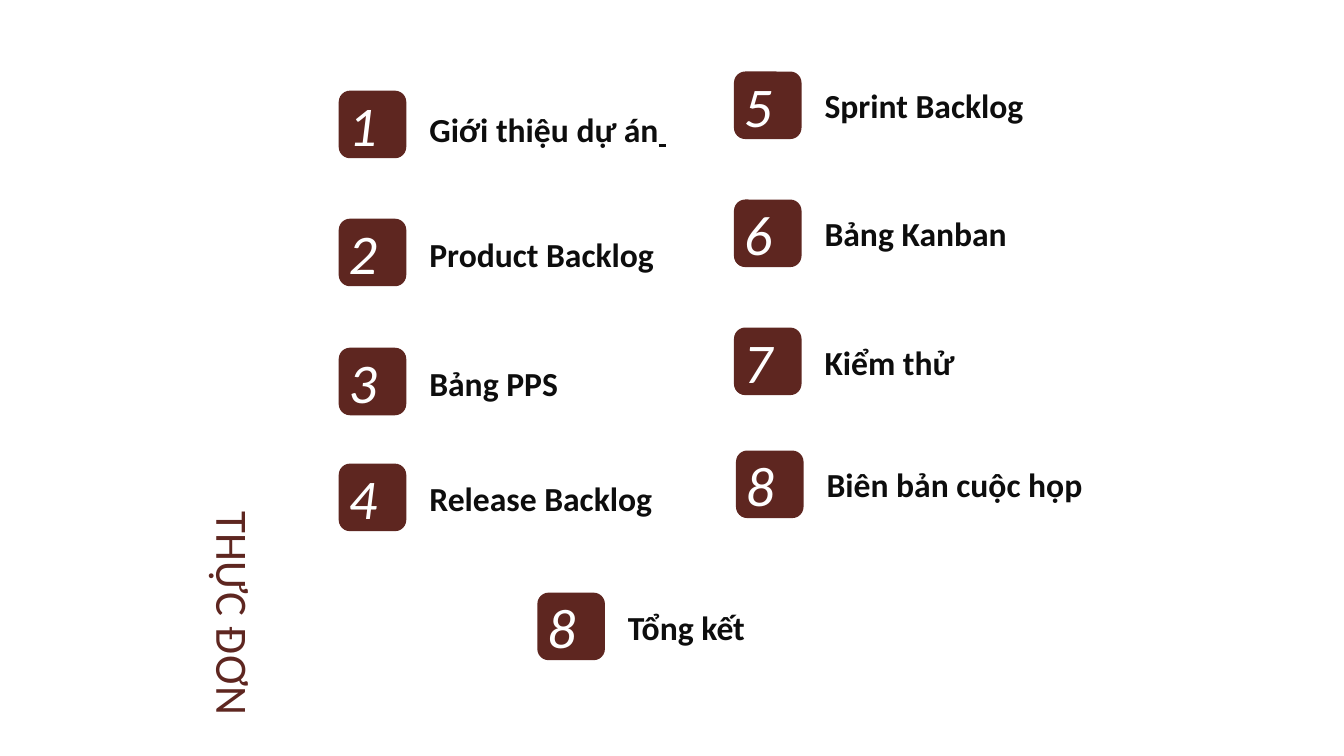
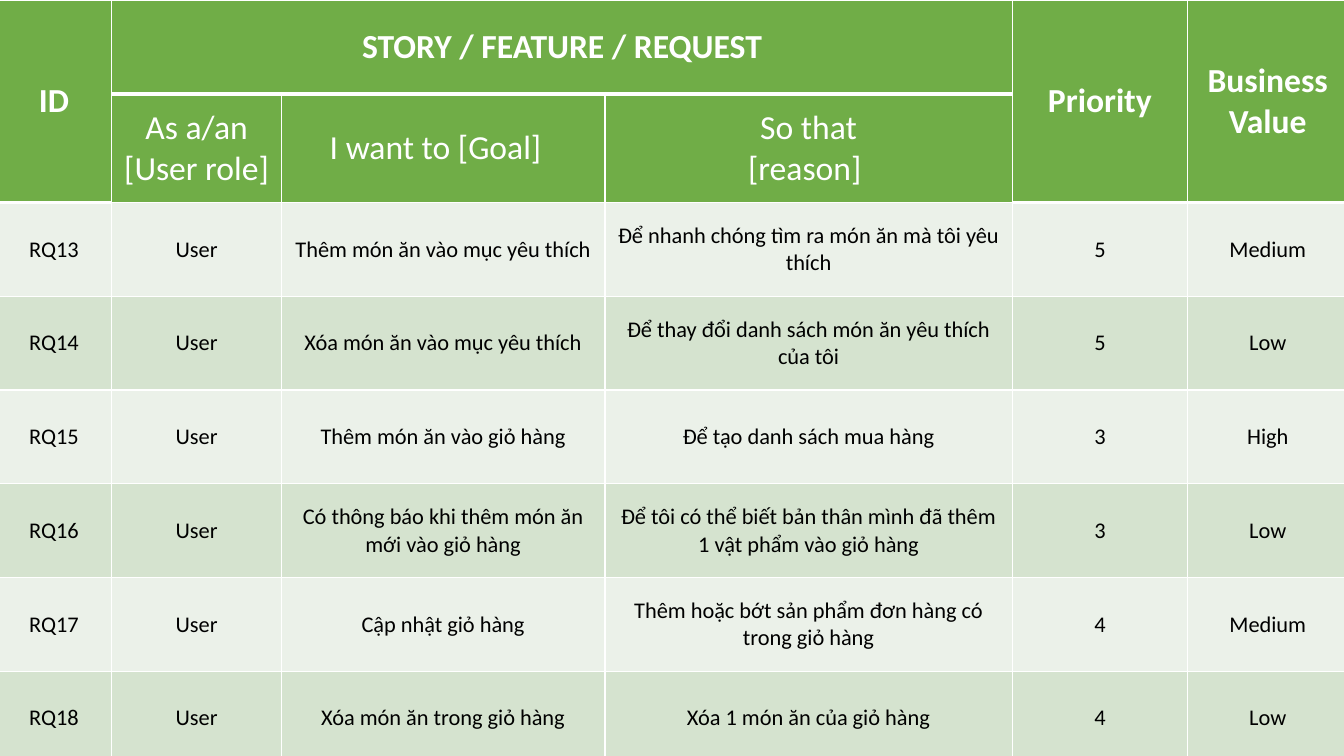
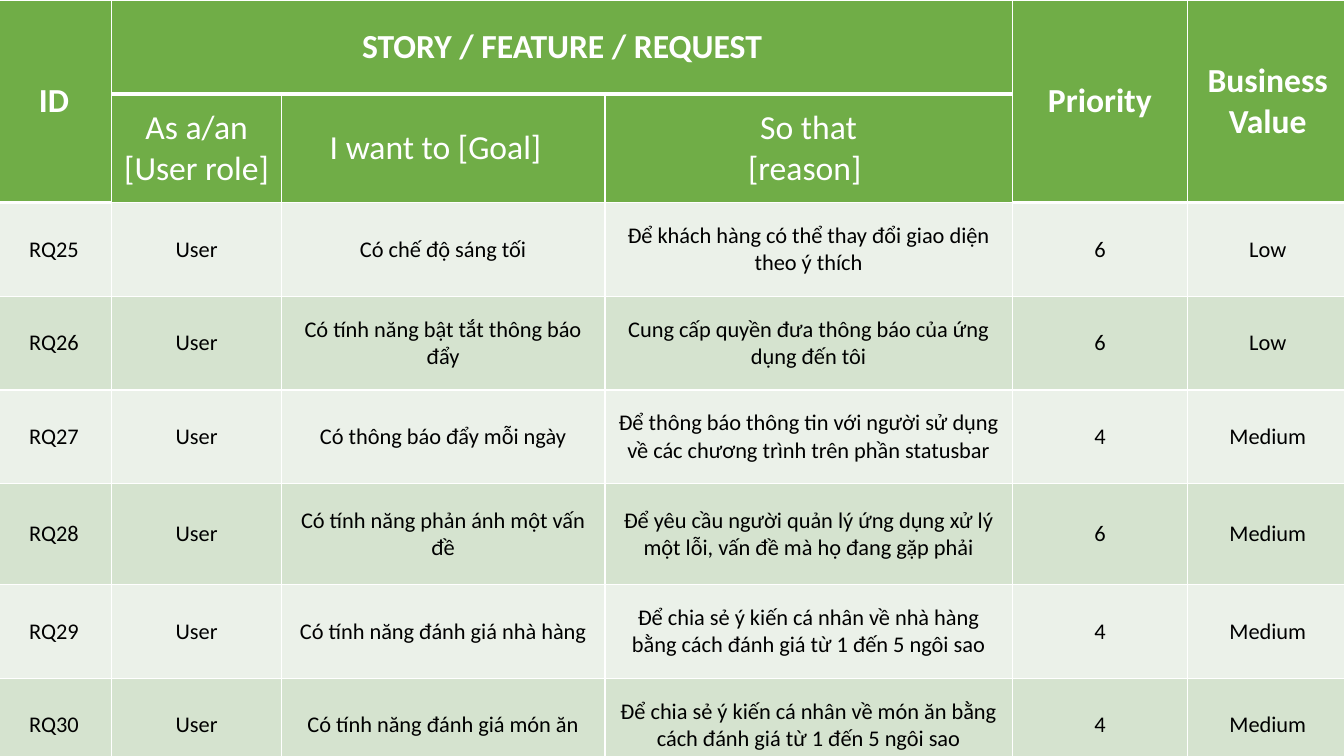
"""Build a menu slide and two product backlog tables."""
from dataclasses import dataclass

import lxml.etree
import pptx
import pptx.dml.color
import pptx.enum.shapes
import pptx.enum.text
import pptx.oxml.ns
import pptx.util

SCALE = 9144
FONT = "Calibri"
HUES = {
    "wine": "5E2620",
    "ink": "0D0D0D",
    "black": "000000",
    "white": "FFFFFF",
    "green": "70AD47",
    "pale": "EBF1E9",
    "mint": "D5E3CF",
}
COLS = [115, 168, 321, 404, 174, 159]
ROWS = [93, 108, 93, 93, 93, 93, 93, 93]


@dataclass(frozen=True)
class Style:
    size: int
    hue: str
    bold: bool = False
    slant: bool = False


@dataclass(frozen=True)
class Item:
    mark: str
    label: str
    left: int
    top: int
    drop: int = 9
    tail: str = ""


@dataclass(frozen=True)
class Head:
    text: str
    row: int
    col: int
    tall: int = 1
    wide: int = 1
    bold: bool = True
    pad: int = 10


@dataclass(frozen=True)
class Story:
    code: str
    goal: str
    cause: str
    rank: int
    value: str
    role: str = "User"


LABEL = Style(24, "ink", bold=True)
MARK = Style(40, "white", slant=True)
TITLE = Style(32, "wine")
BODY = Style(16, "black")

ITEMS = [
    Item("1.", "Giới thiệu dự án", 336, 90, 13, " "),
    Item("2.", "Product Backlog", 336, 217, 10),
    Item("3.", "Bảng PPS", 336, 345, 10),
    Item("4.", "Release Backlog", 336, 460),
    Item("5.", "Sprint Backlog", 728, 71, 8),
    Item("6.", "Bảng Kanban", 728, 198, 8),
    Item("7.", "Kiểm thử", 728, 325),
    Item("8.", "Biên bản cuộc họp", 730, 447, 8),
    Item("8.", "Tổng kết", 533, 588),
]
HEADS = [
    Head("ID", 0, 0, tall=2),
    Head("STORY / FEATURE / REQUEST", 0, 1, wide=3),
    Head("Priority", 0, 4, tall=2),
    Head("Business Value", 0, 5, tall=2),
    Head("As a/an\n[User role]", 1, 1, bold=False),
    Head("I want to [Goal]", 1, 2, bold=False, pad=25),
    Head("So that\n[reason] ", 1, 3, bold=False),
]
CART = [
    Story("RQ13", "Thêm món ăn vào mục yêu thích",
          "Để nhanh chóng tìm ra món ăn mà tôi yêu thích", 5, "Medium"),
    Story("RQ14", "Xóa món ăn vào mục yêu thích",
          "Để thay đổi danh sách món ăn yêu thích của tôi", 5, "Low"),
    Story("RQ15", "Thêm món ăn vào giỏ hàng",
          "Để tạo danh sách mua hàng", 3, "High"),
    Story("RQ16", "Có thông báo khi thêm món ăn mới vào giỏ hàng",
          "Để tôi có thể biết bản thân mình đã thêm 1 vật phẩm vào giỏ hàng", 3, "Low"),
    Story("RQ17", "Cập nhật giỏ hàng",
          "Thêm hoặc bớt sản phẩm đơn hàng có trong giỏ hàng", 4, "Medium"),
    Story("RQ18", "Xóa món ăn trong giỏ hàng",
          "Xóa 1 món ăn của giỏ hàng", 4, "Low"),
]
NOTICE = [
    Story("RQ25", "Có chế độ sáng tối",
          "Để khách hàng có thể thay đổi giao diện theo ý thích", 6, "Low"),
    Story("RQ26", "Có tính năng bật tắt thông báo đẩy",
          "Cung cấp quyền đưa thông báo của ứng dụng đến tôi", 6, "Low"),
    Story("RQ27", "Có thông báo đẩy mỗi ngày",
          "Để thông báo thông tin với người sử dụng về các chương trình trên phần statusbar",
          4, "Medium"),
    Story("RQ28", "Có tính năng phản ánh một vấn đề",
          "Để yêu cầu người quản lý ứng dụng xử lý một lỗi, vấn đề mà họ đang gặp phải",
          6, "Medium"),
    Story("RQ29", "Có tính năng đánh giá nhà hàng",
          "Để chia sẻ ý kiến cá nhân về nhà hàng bằng cách đánh giá từ 1 đến 5 ngôi sao",
          4, "Medium"),
    Story("RQ30", "Có tính năng đánh giá món ăn",
          "Để chia sẻ ý kiến cá nhân về món ăn bằng cách đánh giá từ 1 đến 5 ngôi sao",
          4, "Medium"),
]


def px(count: int) -> pptx.util.Emu:
    return pptx.util.Emu(count * SCALE)


def tint(name: str) -> pptx.dml.color.RGBColor:
    return pptx.dml.color.RGBColor.from_string(HUES[name])


def dress(para, style: Style) -> None:
    font = para.font
    font.name = FONT
    font.size = pptx.util.Pt(style.size)
    font.bold = style.bold
    font.italic = style.slant
    font.color.rgb = tint(style.hue)


def write(shapes, text: str, style: Style, left: int, top: int, wide: int, tall: int):
    box = shapes.add_textbox(px(left), px(top), px(wide), px(tall))
    frame = box.text_frame
    frame.word_wrap = True
    frame.auto_size = pptx.enum.text.MSO_AUTO_SIZE.SHAPE_TO_FIT_TEXT
    frame.text = text
    dress(frame.paragraphs[0], style)
    return box


def draw_item(slide, item: Item) -> None:
    group = slide.shapes.add_group_shape()
    tile = group.shapes.add_shape(
        pptx.enum.shapes.MSO_SHAPE.ROUNDED_RECTANGLE,
        px(item.left), px(item.top), px(67), px(67))
    tile.shadow.inherit = False
    tile.fill.solid()
    tile.fill.fore_color.rgb = tint("wine")
    tile.line.fill.background()
    write(group.shapes, item.mark, MARK, item.left, item.top - 5, 53, 77)
    label = write(slide.shapes, item.label, LABEL,
                  item.left + 80, item.top + item.drop, 285, 50)
    if item.tail:
        run = label.text_frame.paragraphs[0].add_run()
        run.text = item.tail
        run.font.underline = True


def edge(cell, base: int) -> None:
    props = cell._tc.get_or_add_tcPr()
    for side, width in zip("LRTB", (1, 1, 1, base)):
        line = lxml.etree.SubElement(
            props, pptx.oxml.ns.qn(f"a:ln{side}"), w=str(pptx.util.Pt(width)))
        fill = lxml.etree.SubElement(line, pptx.oxml.ns.qn("a:solidFill"))
        lxml.etree.SubElement(fill, pptx.oxml.ns.qn("a:srgbClr"), val=HUES["white"])


def paint(cell, hue: str, base: int = 1) -> None:
    edge(cell, base)
    cell.fill.solid()
    cell.fill.fore_color.rgb = tint(hue)


def fill_cell(cell, text: str, style: Style) -> None:
    cell.vertical_anchor = pptx.enum.text.MSO_ANCHOR.MIDDLE
    cell.text_frame.text = text
    for para in cell.text_frame.paragraphs:
        para.alignment = pptx.enum.text.PP_ALIGN.CENTER
        dress(para, style)


def draw_head(table, head: Head) -> None:
    base = 3 if head.bold else 1
    for row in range(head.row, head.row + head.tall):
        for col in range(head.col, head.col + head.wide):
            paint(table.cell(row, col), "green", base)
    cell = table.cell(head.row, head.col)
    if head.tall * head.wide > 1:
        cell.merge(table.cell(head.row + head.tall - 1, head.col + head.wide - 1))
    cell.margin_right = px(head.pad)
    fill_cell(cell, head.text, Style(24, "white", bold=head.bold))


def draw_table(slide, tales: list[Story], rows: list[int]) -> None:
    table = slide.shapes.add_table(
        len(rows), len(COLS), px(-4), px(0), px(sum(COLS)), px(sum(rows))).table
    table.first_row = False
    table.horz_banding = False
    for col, wide in zip(table.columns, COLS):
        col.width = px(wide)
    for row, tall in zip(table.rows, rows):
        row.height = px(tall)
    for head in HEADS:
        draw_head(table, head)
    for place, tale in enumerate(tales):
        words = (tale.code, tale.role, tale.goal, tale.cause, str(tale.rank), tale.value)
        for col, text in enumerate(words):
            cell = table.cell(place + 2, col)
            paint(cell, "mint" if place % 2 else "pale")
            fill_cell(cell, text, BODY)


def main() -> None:
    deck = pptx.Presentation()
    deck.slide_width, deck.slide_height = px(1333), px(750)
    blank = deck.slide_layouts[6]
    menu = deck.slides.add_slide(blank)
    write(menu.shapes, "THỰC ĐƠN", TITLE, 112, 586, 240, 64).rotation = 90
    for item in ITEMS:
        draw_item(menu, item)
    draw_table(deck.slides.add_slide(blank), CART, ROWS)
    draw_table(deck.slides.add_slide(blank), NOTICE, ROWS[:5] + [100] + ROWS[6:])
    deck.save("out.pptx")


if __name__ == "__main__":
    main()
